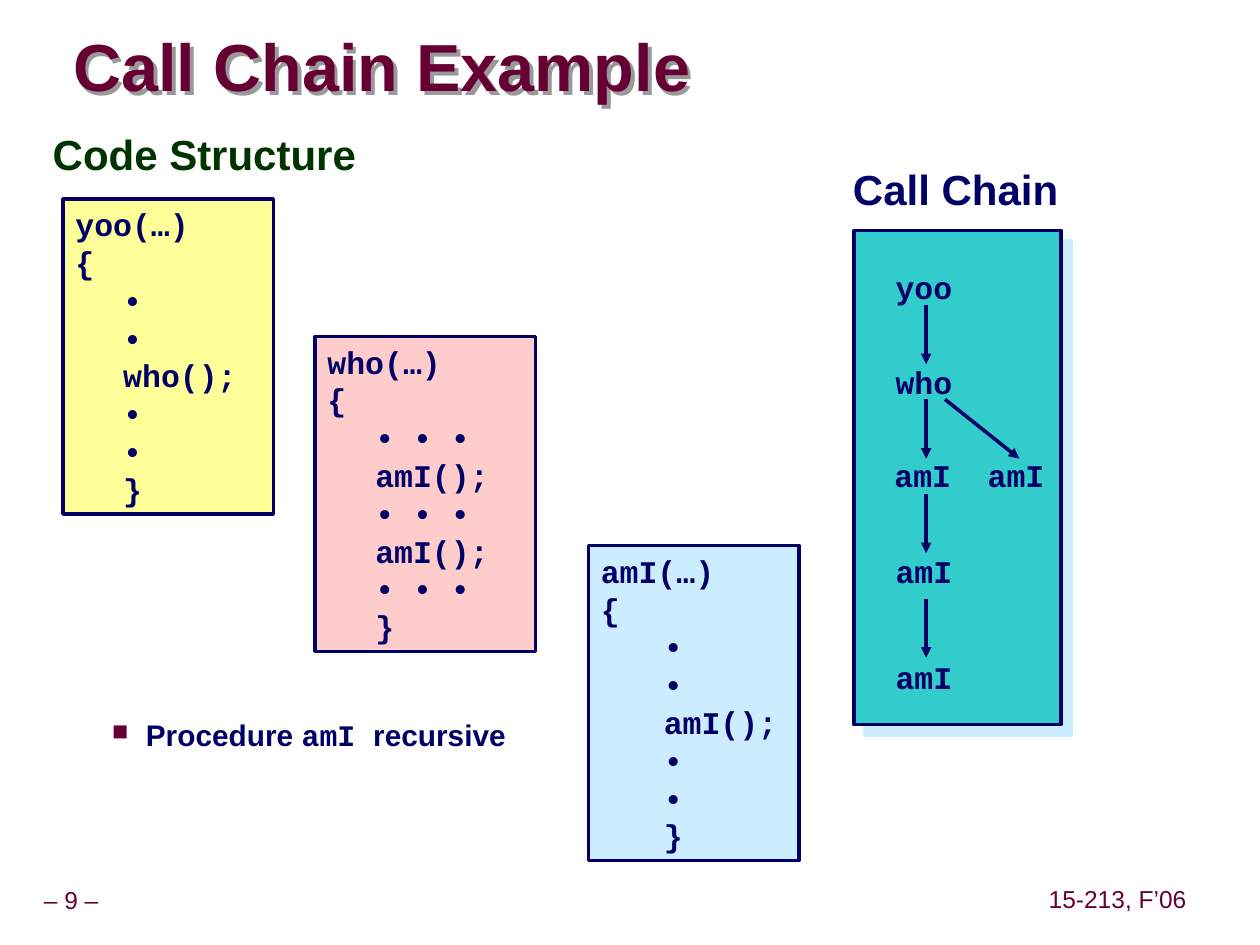
import pptx
import pptx.util
import pptx.dml.color
import pptx.enum.shapes
import pptx.enum.text
import pptx.oxml
from pptx.oxml.ns import nsdecls
from pptx.util import Inches

NAVY, MAROON, GREEN = "000066", "660033", "003300"
SANS, MONO = "Arial", "Courier New"
ALIGN = pptx.enum.text.PP_ALIGN
MIDDLE = pptx.enum.text.MSO_ANCHOR.MIDDLE


def color(hex_code):
    return pptx.dml.color.RGBColor.from_string(hex_code)


def element(tag, attributes="", content=""):
    """Return a DrawingML element."""
    return pptx.oxml.parse_xml(
        f"<a:{tag} {nsdecls('a')} {attributes}>{content}</a:{tag}>")


class SlideBuilder:
    """Holds the shared style and the slide being drawn."""
    line_width = pptx.util.Pt(2)

    def __init__(self, slide):
        self.shapes = slide.shapes

    def style(self, font, size, hex_code, name, bold=True):
        font.size = pptx.util.Pt(size)
        font.color.rgb = color(hex_code)
        font.name = name
        font.bold = bold

    def text(self, words, left, top, width, height, size=18, hex_code=NAVY,
             name=MONO, bold=True, align=ALIGN.LEFT, spacing=1.0, wrap=True,
             anchor=pptx.enum.text.MSO_ANCHOR.TOP, margins=(0.1, 0.05)):
        box = self.shapes.add_textbox(
            Inches(left), Inches(top), Inches(width), Inches(height))
        frame = box.text_frame
        frame.text = words
        frame.word_wrap = wrap
        frame.vertical_anchor = anchor
        frame.margin_left = frame.margin_right = Inches(margins[0])
        frame.margin_top = frame.margin_bottom = Inches(margins[1])
        para = frame.paragraphs[0]
        para.alignment = align
        para.line_spacing = spacing
        self.style(para.runs[0].font, size, hex_code, name, bold)
        return box

    def footer(self, words, left, top, width):
        self.text(words, left, top, width, 0.31, 14, MAROON, SANS, False,
                  ALIGN.CENTER, 0.9, False, MIDDLE, (0.05, 0.05))

    def shadow(self, shape, hex_code, distance):
        """Add a hard shadow to the lower right."""
        shape._element.spPr.append(element("effectLst", "", (
            f'<a:outerShdw dist="{pptx.util.Pt(distance)}" dir="2700000" '
            f'algn="ctr" rotWithShape="0"><a:srgbClr val="{hex_code}"/>'
            '</a:outerShdw>')))

    def panel(self, left, top, width, height, fill):
        box = self.shapes.add_shape(
            pptx.enum.shapes.MSO_SHAPE.RECTANGLE,
            Inches(left), Inches(top), Inches(width), Inches(height))
        box.fill.solid()
        box.fill.fore_color.rgb = color(fill)
        box.line.color.rgb = color(NAVY)
        box.line.width = self.line_width
        return box

    def code(self, name, body, left, top, width, fill, indent):
        box = self.panel(left, top, width, 2.5, fill)
        box.shadow.inherit = False
        frame = box.text_frame
        frame.vertical_anchor = pptx.enum.text.MSO_ANCHOR.TOP
        frame.text = "\n".join([f"{name}(…)", "{", *body, "}"])
        for index, para in enumerate(frame.paragraphs):
            para.alignment = ALIGN.LEFT
            if index > 1:
                properties = para._p.get_or_add_pPr()
                properties.set("marL", str(Inches(indent)))
                properties.set("indent", "0")
            self.style(para.runs[0].font, 18, NAVY, MONO)

    def bullet(self, spans, left, top, width, height):
        box = self.text("", left, top, width, height) if not spans else \
            self.text(spans[0][0], left, top, width, height, 17, NAVY,
                      spans[0][1], spacing=0.9)
        para = box.text_frame.paragraphs[0]
        for words, name in spans[1:]:
            span = para.add_run()
            span.text = words
            self.style(span.font, 17, NAVY, name)
        properties = para._p.get_or_add_pPr()
        properties.set("marL", str(Inches(0.81)))
        properties.set("indent", str(Inches(-0.27)))
        properties.append(
            element("buClr", "", f'<a:srgbClr val="{MAROON}"/>'))
        properties.append(element("buSzPct", 'val="75000"'))
        properties.append(element("buChar", 'char="■"'))

    def arrow(self, start_x, start_y, end_x, end_y):
        line = self.shapes.add_connector(
            pptx.enum.shapes.MSO_CONNECTOR.STRAIGHT, Inches(start_x),
            Inches(start_y), Inches(end_x), Inches(end_y))
        line.line.color.rgb = color(NAVY)
        line.line.width = self.line_width
        line.line._get_or_add_ln().append(
            element("tailEnd", 'type="triangle"'))
        line._element.spPr.append(element("effectLst"))


def main():
    deck = pptx.Presentation()
    deck.slide_width, deck.slide_height = Inches(10), Inches(7.5)
    page = SlideBuilder(deck.slides.add_slide(deck.slide_layouts[6]))

    page.footer("– 9 –", -0.09, 7, 1.31)
    page.footer("15-213, F’06", 8.27, 6.99, 1.2)
    title = page.text("Call Chain Example", 0.58, 0.25, 6.85, 0.63, 38,
                      MAROON, SANS, spacing=0.87, anchor=MIDDLE,
                      margins=(0, 0))
    page.shadow(title, "999999", 3.2)
    page.text("Code Structure", 0.32, 1, 3.03, 0.56, 24, GREEN, SANS,
              spacing=0.95)

    dots = ["•", "•"]
    row = "• • •"
    page.code("yoo", [*dots, "who();", *dots], 0.5, 1.58, 1.67,
              "FFFF99", 0.38)
    page.code("who", [row, "amI();", row, "amI();", row], 2.5, 2.67, 1.75,
              "FFCCCC", 0.38)
    page.code("amI", [*dots, "amI();", *dots], 4.67, 4.33, 1.67,
              "CCECFF", 0.5)

    page.text("Call Chain", 6.67, 1.25, 1.83, 0.5, 24, NAVY, SANS,
              align=ALIGN.CENTER, wrap=False)
    chain = page.panel(6.78, 1.83, 1.64, 3.92, "33CCCC")
    page.shadow(chain, "CCECFF", 8.5)
    calls = [("yoo", 7.01, 2.08), ("who", 7.01, 2.83), ("amI", 7, 3.57),
             ("amI", 7.01, 4.33), ("amI", 7.01, 5.17), ("amI", 7.74, 3.57)]
    for name, left, top in calls:
        page.text(name, left, top, 0.66, 0.4)
    for top in (2.42, 3.17, 3.92, 4.75):
        page.arrow(7.35, top, 7.35, top + 0.47)
    page.arrow(7.5, 3.17, 8.09, 3.64)

    page.bullet([("Procedure ", SANS), ("amI ", MONO), ("recursive", SANS)],
                0.25, 5.67, 4.17, 0.58)

    deck.save("out.pptx")


if __name__ == "__main__":
    main()
